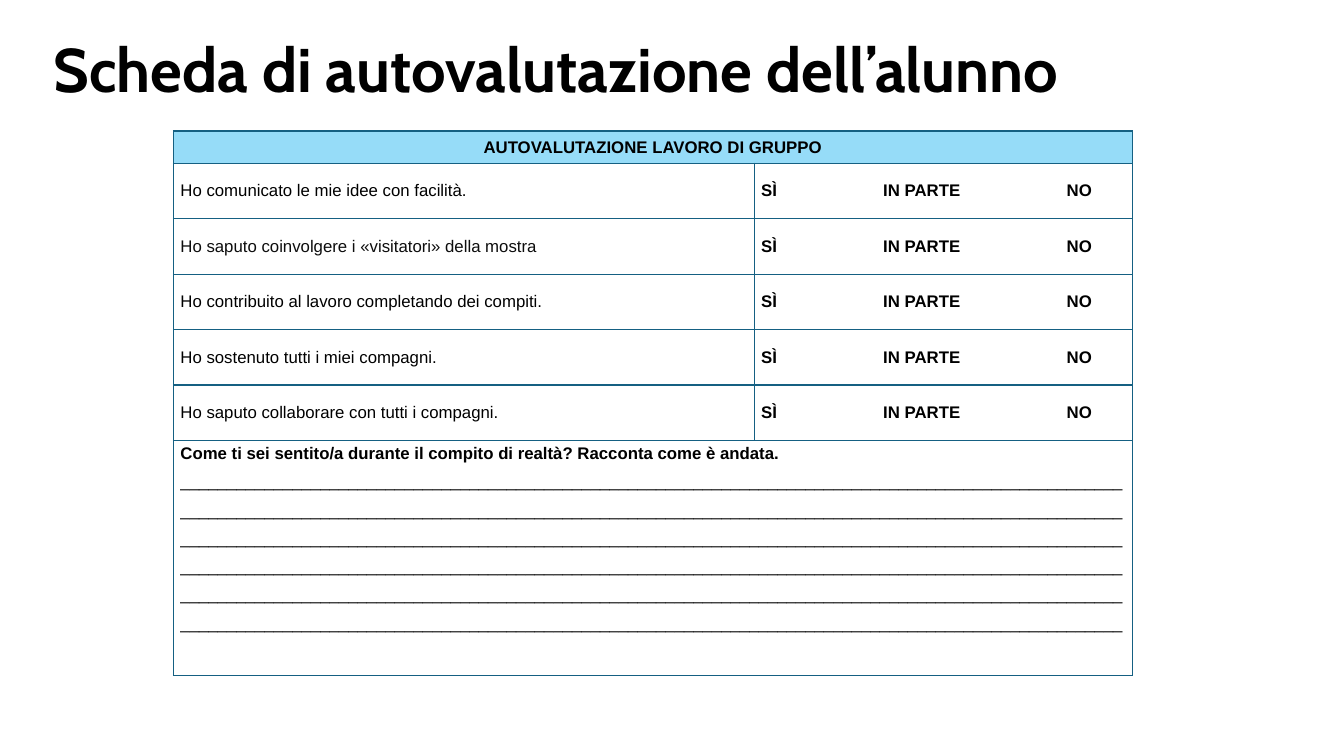
"""Build the pupil self-assessment slide with its group-work table."""
from lxml import etree
from pptx import Presentation
from pptx.dml.color import RGBColor
from pptx.enum.text import MSO_ANCHOR, MSO_AUTO_SIZE, PP_ALIGN
from pptx.oxml.ns import qn
from pptx.util import Inches, Pt

LEFT, CENTER = PP_ALIGN.LEFT, PP_ALIGN.CENTER
TOP, MIDDLE, BOTTOM = MSO_ANCHOR.TOP, MSO_ANCHOR.MIDDLE, MSO_ANCHOR.BOTTOM
BLACK, NEAR_BLACK, BORDER, HEADER_FILL = "000000", "0D0D0D", "156082", "96DCF8"

TITLE = "Scheda di autovalutazione dell’alunno"
HEADER = "AUTOVALUTAZIONE LAVORO DI GRUPPO"
STATEMENTS = [
    ("Ho comunicato le mie idee con facilità.", BLACK),
    ("Ho saputo coinvolgere i «visitatori» della mostra", NEAR_BLACK),
    ("Ho contribuito al lavoro completando dei compiti.", BLACK),
    ("Ho sostenuto tutti i miei compagni.", BLACK),
    ("Ho saputo collaborare con tutti i compagni.", BLACK),
]
ANSWERS = ["SÌ", "IN PARTE", "NO"]
ANSWER_TABS = [1.21, 3.03]
QUESTION = "Come ti sei sentito/a durante il compito di realtà? Racconta come è andata."
WRITING_LINES, LINE_CHARS = 6, 101

COL_WIDTHS = [5.76, 3.75]
ROW_HEIGHTS = [0.32] + [0.55] * len(STATEMENTS) + [2.33]


def rgb(value):
    return RGBColor.from_string(value)


def add_run(p, text, size=12, font="Arial", color=BLACK, bold=False):
    r = p.add_run()
    r.text = text
    r.font.size = Pt(size)
    r.font.name = font
    r.font.bold = bold
    r.font.color.rgb = rgb(color)


def add_tabs(p, positions):
    tabs = etree.SubElement(p._p.get_or_add_pPr(), qn("a:tabLst"))
    for position in positions:
        etree.SubElement(tabs, qn("a:tab"), pos=str(Inches(position)), algn="l")


def format_cell(cell, fill=None, anchor=MIDDLE):
    cell.margin_left = cell.margin_right = Inches(0.07)
    cell.margin_top = cell.margin_bottom = Inches(0.04)
    cell.vertical_anchor = anchor
    tc_pr = cell._tc.get_or_add_tcPr()
    for side in ("a:lnL", "a:lnR", "a:lnT", "a:lnB"):
        ln = etree.SubElement(tc_pr, qn(side), w=str(Pt(1)))
        solid = etree.SubElement(ln, qn("a:solidFill"))
        etree.SubElement(solid, qn("a:srgbClr"), val=BORDER)
    if fill:
        cell.fill.solid()
        cell.fill.fore_color.rgb = rgb(fill)
    else:
        cell.fill.background()


def add_title(slide):
    sp = slide.shapes.title
    sp.left, sp.top = Inches(0.53), Inches(0.31)
    sp.width, sp.height = Inches(11.89), Inches(0.73)
    tf = sp.text_frame
    tf.margin_left = tf.margin_right = tf.margin_top = tf.margin_bottom = 0
    tf.vertical_anchor = BOTTOM
    tf.auto_size = MSO_AUTO_SIZE.NONE
    tf.word_wrap = True
    p = tf.paragraphs[0]
    p.alignment = LEFT
    p.line_spacing = 0.8
    add_run(p, TITLE, 44, "Cabin", bold=True)


def add_assessment_table(slide):
    table = slide.shapes.add_table(
        len(ROW_HEIGHTS), len(COL_WIDTHS), Inches(1.72), Inches(1.3),
        Inches(sum(COL_WIDTHS)), Inches(sum(ROW_HEIGHTS))).table
    table.first_row = table.horz_banding = False
    for column, width in zip(table.columns, COL_WIDTHS):
        column.width = Inches(width)
    for row, height in zip(table.rows, ROW_HEIGHTS):
        row.height = Inches(height)

    last = len(ROW_HEIGHTS) - 1
    for i, row in enumerate(table.rows):
        for cell in row.cells:
            format_cell(cell, HEADER_FILL if i == 0 else None,
                        TOP if i == last else MIDDLE)
    for i in (0, last):
        table.cell(i, 0).merge(table.cell(i, 1))

    p = table.cell(0, 0).text_frame.paragraphs[0]
    p.alignment = CENTER
    add_run(p, HEADER, bold=True)

    for i, (statement, color) in enumerate(STATEMENTS, 1):
        add_run(table.cell(i, 0).text_frame.paragraphs[0], statement, color=color)
        p = table.cell(i, 1).text_frame.paragraphs[0]
        add_tabs(p, ANSWER_TABS)
        add_run(p, "\t".join(ANSWERS), bold=True)

    tf = table.cell(last, 0).text_frame
    add_run(tf.paragraphs[0], QUESTION, bold=True)
    p = tf.add_paragraph()
    p.line_spacing = 1.5
    add_run(p, "_" * (WRITING_LINES * LINE_CHARS))


def main():
    prs = Presentation()
    prs.slide_width, prs.slide_height = Inches(13.33), Inches(7.5)
    slide = prs.slides.add_slide(prs.slide_layouts[5])
    add_title(slide)
    add_assessment_table(slide)
    prs.save("out.pptx")


if __name__ == "__main__":
    main()
